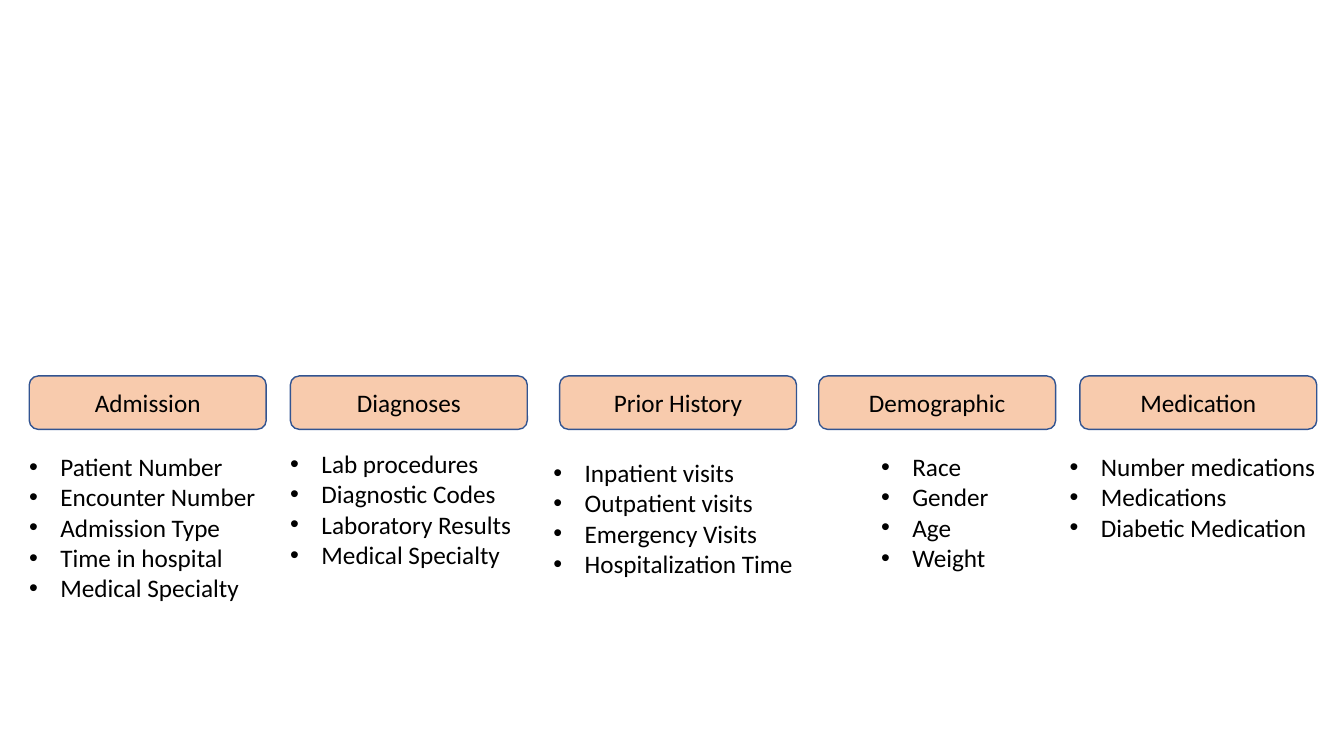
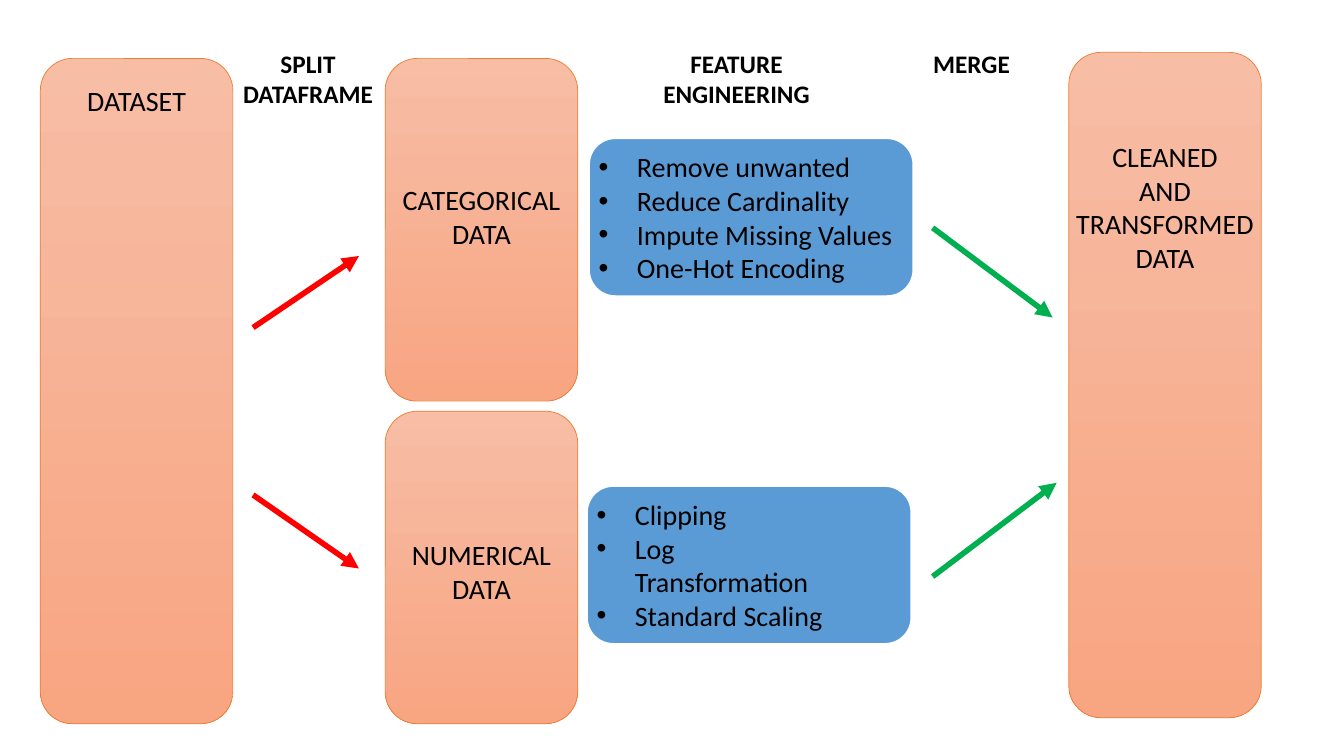
from dataclasses import dataclass

from lxml import etree
from pptx import Presentation
from pptx.dml.color import RGBColor
from pptx.enum.shapes import MSO_CONNECTOR, MSO_SHAPE
from pptx.enum.text import MSO_ANCHOR, PP_ALIGN
from pptx.oxml.ns import qn
from pptx.util import Inches, Pt

ROUNDED = MSO_SHAPE.ROUNDED_RECTANGLE
STRAIGHT = MSO_CONNECTOR.STRAIGHT
TOP, MIDDLE = MSO_ANCHOR.TOP, MSO_ANCHOR.MIDDLE
LEFT, CENTER = PP_ALIGN.LEFT, PP_ALIGN.CENTER
BLANK_LAYOUT = 6


@dataclass(frozen=True)
class Theme:
    font: str = "Calibri"
    text: str = "000000"
    header_fill: str = "F8CBAD"
    header_line: str = "325491"
    panel_top: str = "F7BDA5"
    panel_bottom: str = "F8A582"
    panel_line: str = "ED7D31"
    card_fill: str = "5B9BD5"
    card_line: str = "FFFFFF"
    split: str = "FF0000"
    merge: str = "00B050"
    small: int = 18
    large: int = 20


THEME = Theme()

# Header left, list left, list top, header, items
FEATURE_GROUPS = [
    (0.29, 0.19, 4.43, "Admission",
     ["Patient Number", "Encounter Number", "Admission Type",
      "Time in hospital", "Medical Specialty"]),
    (2.88, 2.78, 4.4, "Diagnoses",
     ["Lab procedures", "Diagnostic Codes", "Laboratory Results",
      "Medical Specialty"]),
    (5.55, 5.39, 4.49, "Prior History",
     ["Inpatient visits", "Outpatient visits", "Emergency Visits",
      "Hospitalization Time"]),
    (8.12, 8.64, 4.43, "Demographic", ["Race", "Gender", "Age", "Weight"]),
    (10.71, 10.51, 4.43, "Medication",
     ["Number medications", "Medications", "Diabetic Medication"]),
]

# Left, top, height, space above the text, lines
DATA_PANELS = [
    (0.4, 0.58, 6.6, 0.16, ["DATASET"]),
    (3.82, 0.58, 3.4, 1.14, ["CATEGORICAL", "DATA"]),
    (3.82, 4.08, 3.1, 1.16, ["NUMERICAL", "DATA"]),
    (10.6, 0.52, 6.6, 0.77, ["CLEANED", "AND", "TRANSFORMED", "DATA"]),
]

# Left, top, right inset, steps
STEP_CARDS = [
    (5.84, 1.37, 0, ["Remove unwanted", "Reduce Cardinality",
                     "Impute Missing Values", "One-Hot Encoding"]),
    (5.82, 4.82, 0.56, ["Clipping", "Log Transformation",
                        "Standard Scaling"]),
]

# Left, width, lines
STAGES = [
    (2.26, 1.59, ["SPLIT", "DATAFRAME"]),
    (6.45, 1.71, ["FEATURE", "ENGINEERING"]),
    (9.14, 0.99, ["MERGE"]),
]

# Start, end, colour
FLOWS = [
    ((2.51, 3.25), (3.56, 2.54), THEME.split),
    ((2.51, 4.91), (3.56, 5.64), THEME.split),
    ((9.25, 2.26), (10.44, 3.15), THEME.merge),
    ((9.25, 5.72), (10.48, 4.79), THEME.merge),
]


def rgb(value):
    return RGBColor.from_string(value)


def add_bullet(paragraph, indent):
    properties = paragraph._p.get_or_add_pPr()
    properties.set("marL", str(Inches(indent)))
    properties.set("indent", str(-Inches(indent)))
    bullet_font = etree.Element(qn("a:buFont"), typeface="Arial")
    bullet = etree.Element(qn("a:buChar"), char="•")
    # Bullet marks stand before the default run properties
    properties.insert(0, bullet_font)
    properties.insert(1, bullet)


def write_lines(frame, lines, size, align=CENTER, bold=False, indent=None):
    for index, line in enumerate(lines):
        paragraph = frame.add_paragraph() if index else frame.paragraphs[0]
        paragraph.text = line
        paragraph.alignment = align
        font = paragraph.font
        font.name, font.size, font.bold = THEME.font, Pt(size), bold
        font.color.rgb = rgb(THEME.text)
        if indent:
            add_bullet(paragraph, indent)


def set_insets(frame, left=0, top=0, right=0, bottom=0):
    frame.margin_left, frame.margin_top = Inches(left), Inches(top)
    frame.margin_right, frame.margin_bottom = Inches(right), Inches(bottom)


def add_rounded_box(slide, left, top, width, height, line, line_width, anchor):
    box = slide.shapes.add_shape(ROUNDED, Inches(left), Inches(top),
                                 Inches(width), Inches(height))
    box.shadow.inherit = False
    box.line.color.rgb = rgb(line)
    box.line.width = Pt(line_width)
    box.text_frame.vertical_anchor = anchor
    set_insets(box.text_frame)
    return box


def fill_solid(box, colour):
    box.fill.solid()
    box.fill.fore_color.rgb = rgb(colour)


def add_text(slide, left, top, width, height, lines, **style):
    label = slide.shapes.add_textbox(Inches(left), Inches(top),
                                     Inches(width), Inches(height))
    label.text_frame.word_wrap = True
    write_lines(label.text_frame, lines, THEME.small, **style)


def add_header(slide, left, name):
    header = add_rounded_box(slide, left, 3.73, 2.35, 0.53,
                             THEME.header_line, 1, MIDDLE)
    fill_solid(header, THEME.header_fill)
    write_lines(header.text_frame, [name], THEME.small)


def add_data_panel(slide, left, top, height, space_above, lines):
    panel = add_rounded_box(slide, left, top, 1.91, height,
                            THEME.panel_line, 0.5, TOP)
    panel.fill.gradient()
    panel.fill.gradient_angle = 270
    shades = (THEME.panel_top, THEME.panel_bottom)
    for position, (stop, shade) in enumerate(zip(panel.fill.gradient_stops, shades)):
        stop.position = position
        stop.color.rgb = rgb(shade)
    frame = panel.text_frame
    frame.word_wrap = False
    set_insets(frame, top=space_above)
    write_lines(frame, lines, THEME.large)


def add_step_card(slide, left, top, right_inset, steps):
    card = add_rounded_box(slide, left, top, 3.22, 1.57,
                           THEME.card_line, 1.5, MIDDLE)
    fill_solid(card, THEME.card_fill)
    frame = card.text_frame
    frame.word_wrap = True
    set_insets(frame, left=0.02, right=right_inset)
    write_lines(frame, steps, THEME.large, align=LEFT, indent=0.38)


def add_arrow(slide, start, end, colour):
    arrow = slide.shapes.add_connector(
        STRAIGHT, *(Inches(value) for value in start + end))
    arrow.line.color.rgb = rgb(colour)
    arrow.line.width = Pt(4)
    etree.SubElement(arrow.line._get_or_add_ln(), qn("a:tailEnd"),
                     type="triangle")
    etree.SubElement(arrow._element.spPr, qn("a:effectLst"))


def build_feature_groups(slide):
    for header_left, list_left, list_top, name, items in FEATURE_GROUPS:
        add_header(slide, header_left, name)
        add_text(slide, list_left, list_top, 2.75, 0.1 + 0.3 * len(items),
                 items, align=LEFT, indent=0.31)


def build_pipeline(slide):
    # Data before, between and after the steps
    for panel in DATA_PANELS:
        add_data_panel(slide, *panel)
    # Feature engineering steps
    for card in STEP_CARDS:
        add_step_card(slide, *card)
    # Split and merge arrows
    for flow in FLOWS:
        add_arrow(slide, *flow)
    # Stage headings
    for left, width, lines in STAGES:
        add_text(slide, left, 0.43, width, 0.1 + 0.3 * len(lines), lines,
                 bold=True)


def main():
    deck = Presentation()
    deck.slide_width, deck.slide_height = Inches(13.33), Inches(7.5)
    for build in (build_feature_groups, build_pipeline):
        build(deck.slides.add_slide(deck.slide_layouts[BLANK_LAYOUT]))
    deck.save("out.pptx")


if __name__ == "__main__":
    main()
